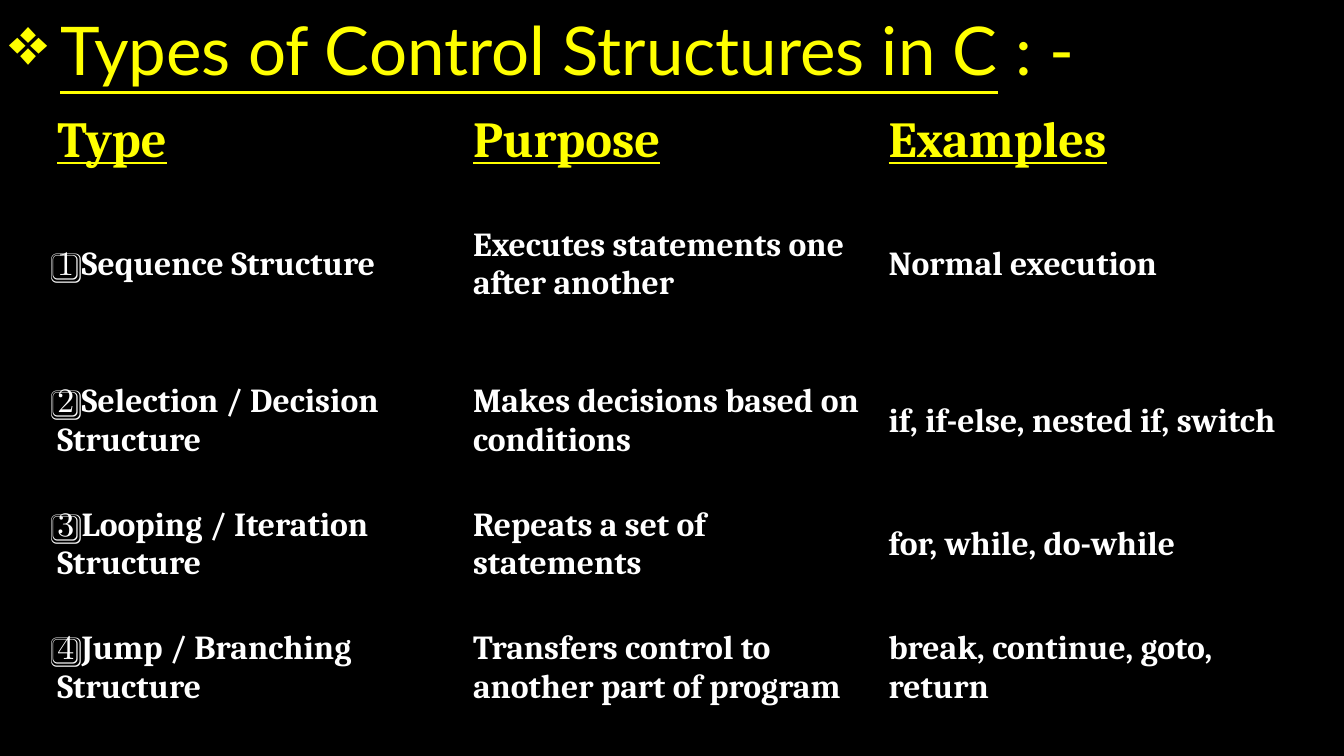
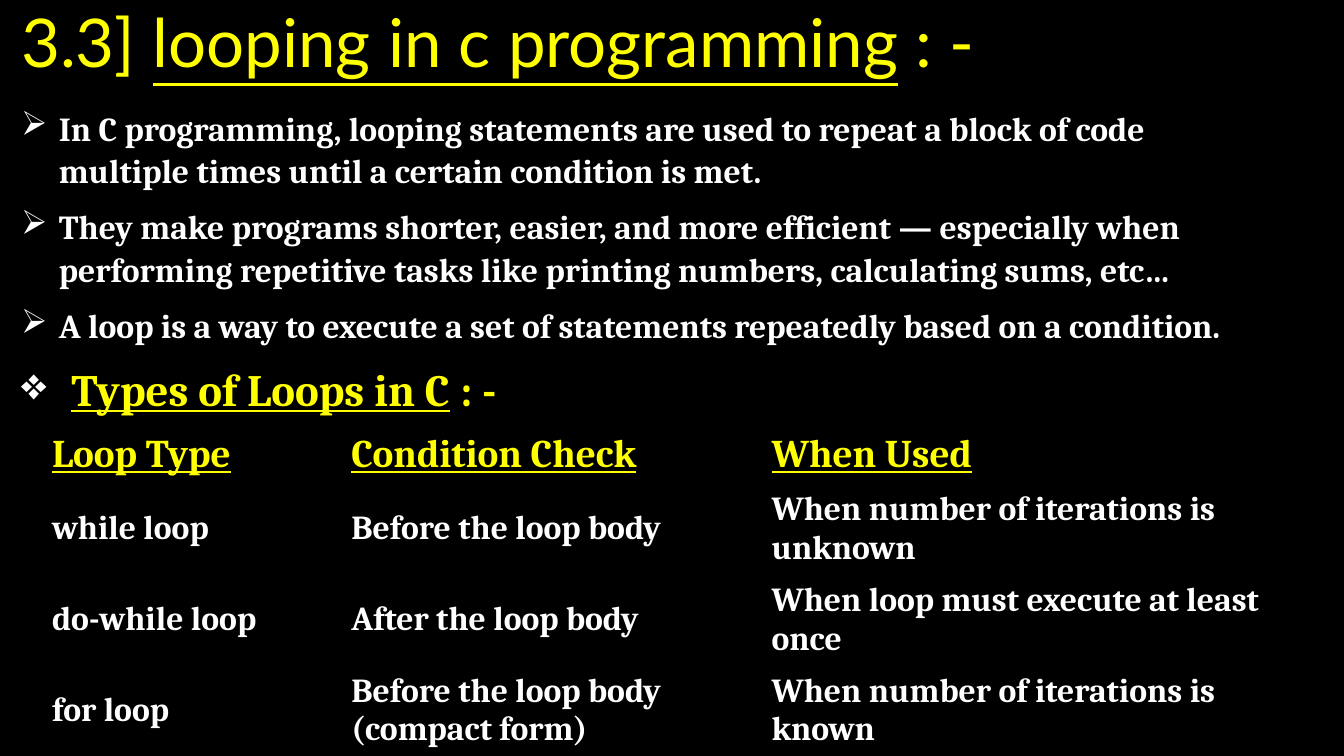
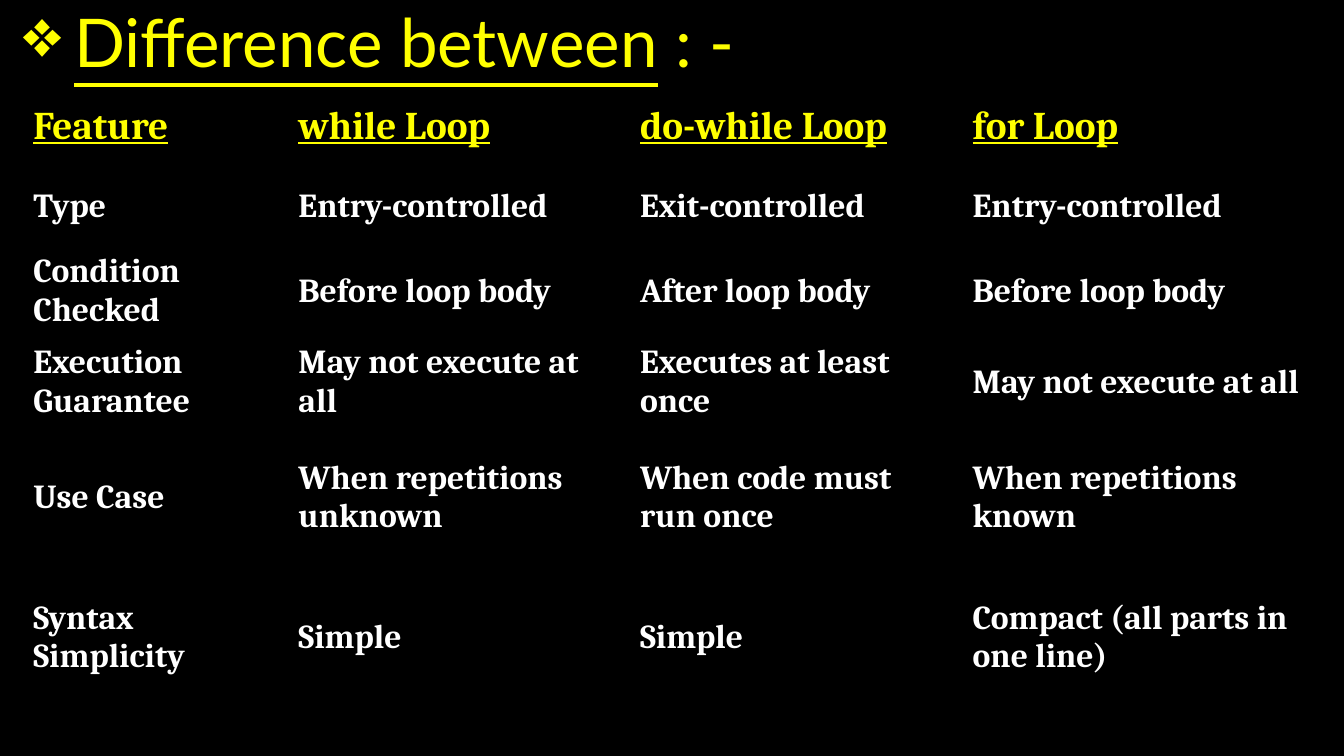
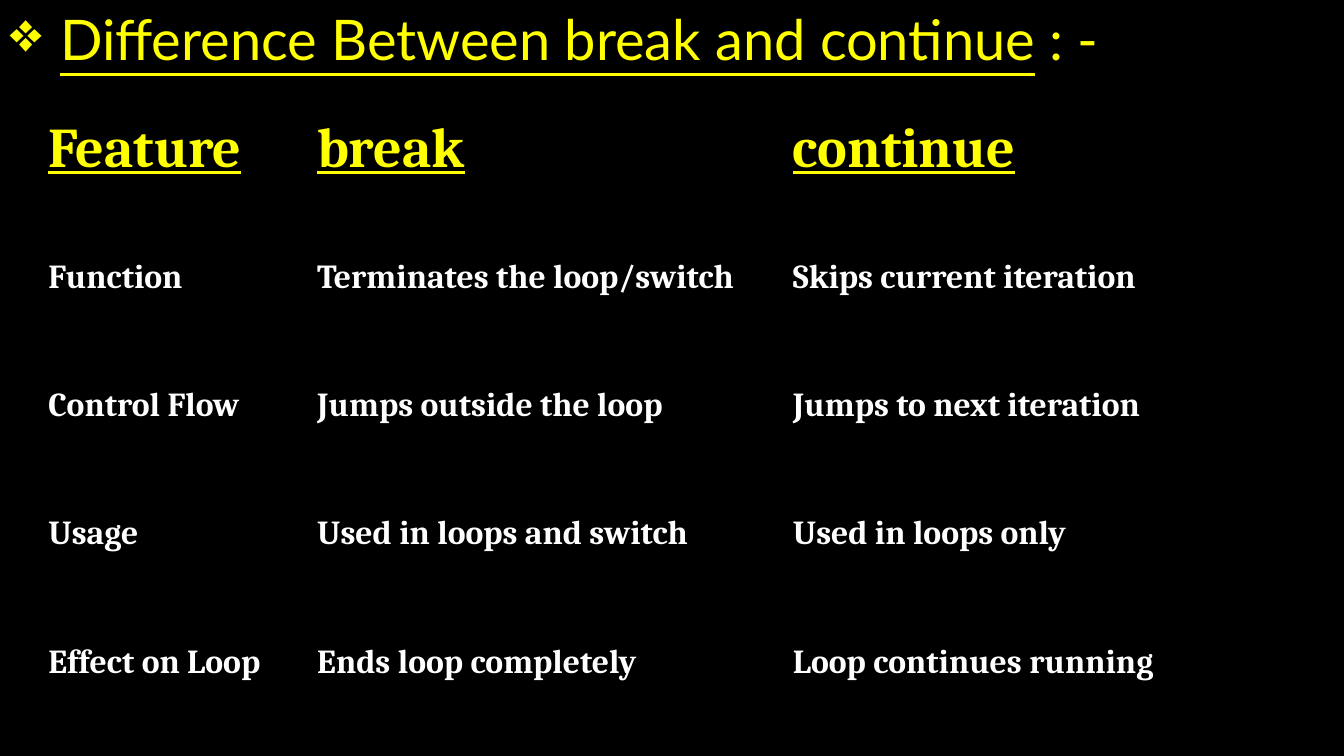
"""Build four slides on control structures and loops in C."""
import dataclasses

import pptx
import pptx.dml.color
import pptx.enum.text
import pptx.oxml
import pptx.oxml.ns
import pptx.util

Pt = pptx.util.Pt
Color = pptx.dml.color.RGBColor.from_string
Anchor = pptx.enum.text.MSO_ANCHOR
qn = pptx.oxml.ns.qn


@dataclasses.dataclass(frozen=True)
class Theme:
    back: str = "000000"
    text: str = "FFFFFF"
    key: str = "FFFF00"
    head: str = "Lato"
    body: str = "Cambria"
    large: int = 48
    title: int = 40
    sub: int = 32
    cell: int = 24
    bare: str = "{2D5ABB26-0587-4C30-8999-92F81FD0307C}"


class Deck:
    def __init__(self, theme):
        self.theme = theme
        self.file = pptx.Presentation()
        self.file.slide_width, self.file.slide_height = Pt(960), Pt(540)
        fill = self.file.slide_master.background.fill
        fill.solid()
        fill.fore_color.rgb = Color(theme.back)
        self.slide = None

    def page(self):
        self.slide = self.file.slides.add_slide(self.file.slide_layouts[6])

    def run(self, para, text, size, color, font, bold=False, under=False):
        run = para.add_run()
        run.text = text
        face = run.font
        face.size, face.name = Pt(size), font
        face.bold, face.underline = bold, under
        face.color.rgb = Color(color)

    def mark(self, para, sign, color, indent):
        props = para._p.get_or_add_pPr()
        props.set("marL", str(Pt(indent)))
        props.set("indent", str(-Pt(indent)))
        space = pptx.oxml.ns.nsdecls("a")
        for tag in (f'<a:buClr {space}><a:srgbClr val="{color}"/></a:buClr>',
                    f'<a:buChar {space} char="{sign}"/>'):
            props.append(pptx.oxml.parse_xml(tag))

    def frame(self, box, anchor):
        frame = self.slide.shapes.add_textbox(*map(Pt, box)).text_frame
        frame.word_wrap = True
        frame.vertical_anchor = anchor
        return frame

    def title(self, box, text, size, lead="", sign=""):
        look = self.theme
        para = self.frame(box, Anchor.MIDDLE).paragraphs[0]
        if sign:
            self.mark(para, sign, look.key, 36)
        for part, under in ((lead, False), (text, True), (" : -", False)):
            if part:
                self.run(para, part, size, look.key, look.head, under=under)

    def points(self, box, items, topic):
        look = self.theme
        frame = self.frame(box, Anchor.TOP)
        frame.margin_top = Pt(10)
        for num, text in enumerate([*items, topic]):
            para = frame.add_paragraph() if num else frame.paragraphs[0]
            para.space_after = Pt(10)
            para.line_spacing = 1.05
            if num < len(items):
                self.mark(para, "➢", look.text, 27)
                self.run(para, text, look.cell, look.text, look.body, True)
            else:
                self.mark(para, "❖", look.text, 36)
                self.run(para, text, look.sub, look.key, look.body, True, True)
                self.run(para, " : -", look.sub, look.key, look.body, True)

    def table(self, left, top, cols, rows, size, data):
        look = self.theme
        box = map(Pt, (left, top, sum(cols), sum(rows)))
        grid = self.slide.shapes.add_table(len(rows), len(cols), *box).table
        grid.first_row = grid.horz_banding = False
        grid._tbl.tblPr.find(qn("a:tableStyleId")).text = look.bare
        for col, width in zip(grid.columns, cols):
            col.width = Pt(width)
        for num, (row, height, texts) in enumerate(zip(grid.rows, rows, data)):
            row.height = Pt(height)
            style = ((look.cell, look.text, look.body, True) if num
                     else (size, look.key, look.body, True, True))
            for cell, text in zip(row.cells, texts):
                cell.fill.background()
                cell.vertical_anchor = Anchor.MIDDLE
                self.run(cell.text_frame.paragraphs[0], text, *style)

    def save(self):
        self.file.save("out.pptx")


def main():
    look = Theme()
    deck = Deck(look)

    deck.page()
    deck.title((0, 0, 947.5, 69), "Types of Control Structures in C", look.large, sign="❖")
    deck.table(33.8, 69.1, [296.9] * 3, [64, 111.8, 111.8, 64, 111.8], 36, [
        ("Type", "Purpose", "Examples"),
        ("1️⃣ Sequence Structure", "Executes statements one after another", "Normal execution"),
        ("2️⃣ Selection / Decision Structure", "Makes decisions based on conditions",
         "if, if-else, nested if, switch"),
        ("3️⃣ Looping / Iteration Structure", "Repeats a set of statements",
         "for, while, do-while"),
        ("4️⃣ Jump / Branching Structure", "Transfers control to another part of program",
         "break, continue, goto, return"),
    ])

    deck.page()
    deck.title((8, -13, 930, 84), "looping in c programming", look.large, lead="3.3] ")
    deck.points((8, 65.5, 900, 265), [
        "In C programming, looping statements are used to repeat a block of code "
        "multiple times until a certain condition is met.",
        "They make programs shorter, easier, and more efficient — especially when "
        "performing repetitive tasks like printing numbers, calculating sums, etc…",
        "A loop is a way to execute a set of statements repeatedly based on a condition.",
    ], "Types of Loops in C")
    deck.table(30, 304.6, [213.8, 300.2, 385.9], [39.6] + [62.6] * 3, 28, [
        ("Loop Type", "Condition Check", "When Used"),
        ("while loop", "Before the loop body", "When number of iterations is unknown"),
        ("do-while loop", "After the loop body", "When loop must execute at least once"),
        ("for loop", "Before the loop body (compact form)",
         "When number of iterations is known"),
    ])

    deck.page()
    deck.title((10, -10, 798, 78.5), "Difference between", look.large, sign="❖")
    deck.table(16.6, 61.9, [189.4, 244, 237.6, 249.8], [56.9] * 4 + [100] * 2, 28, [
        ("Feature", "while Loop", "do-while Loop", "for Loop"),
        ("Type", "Entry-controlled", "Exit-controlled", "Entry-controlled"),
        ("Condition Checked", "Before loop body", "After loop body", "Before loop body"),
        ("Execution Guarantee", "May not execute at all", "Executes at least once",
         "May not execute at all"),
        ("Use Case", "When repetitions unknown", "When code must run once",
         "When repetitions known"),
        ("Syntax Simplicity", "Simple", "Simple", "Compact (all parts in one line)"),
    ])

    deck.page()
    deck.title((0, -6.5, 950, 67), "Difference Between break and continue", look.title,
               sign="❖")
    deck.table(27.4, 60.5, [192, 339.8, 368.6], [91.7] * 5, 40, [
        ("Feature", "break", "continue"),
        ("Function", "Terminates the loop/switch", "Skips current iteration"),
        ("Control Flow", "Jumps outside the loop", "Jumps to next iteration"),
        ("Usage", "Used in loops and switch", "Used in loops only"),
        ("Effect on Loop", "Ends loop completely", "Loop continues running"),
    ])

    deck.save()


if __name__ == "__main__":
    main()
